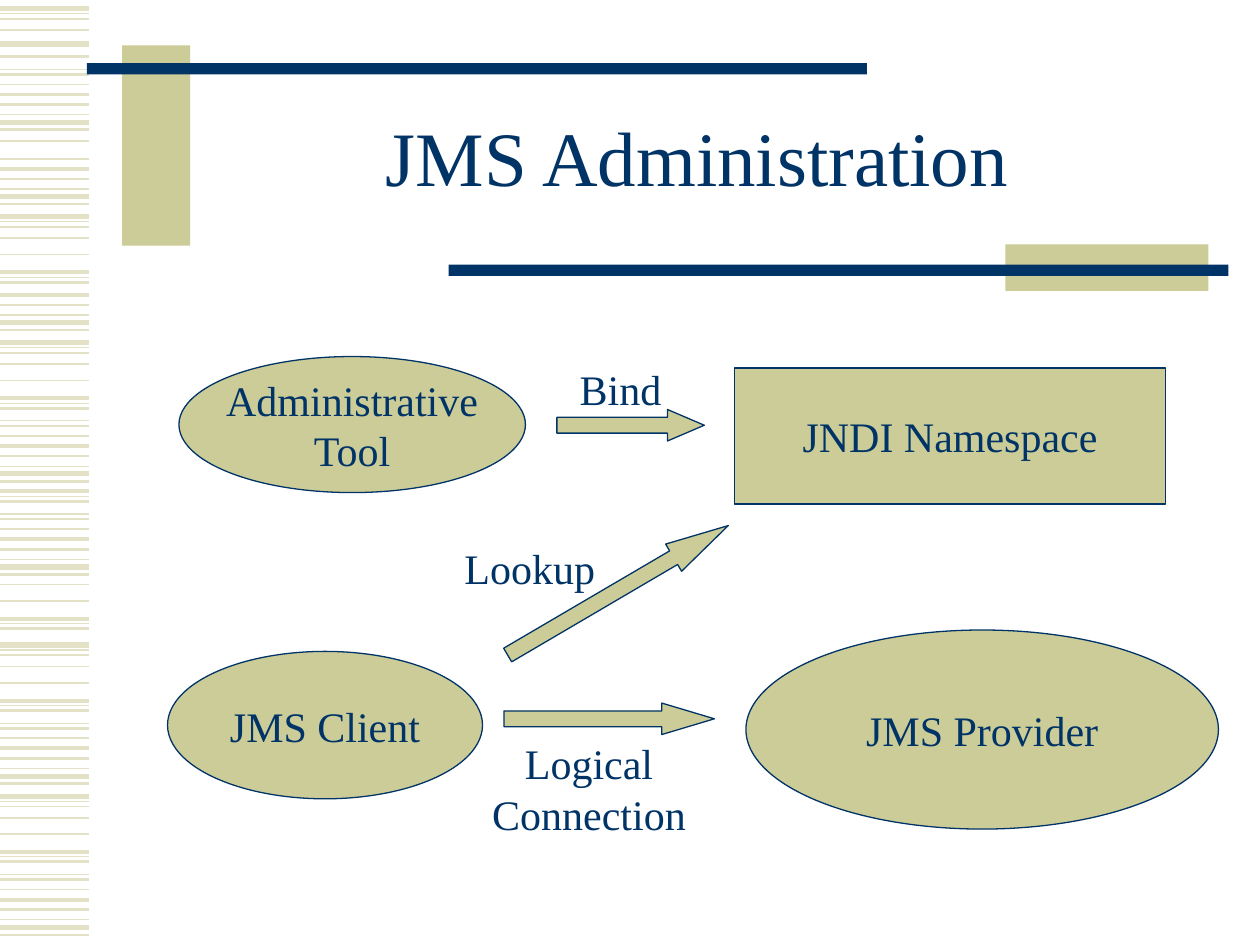
from dataclasses import dataclass

from lxml.etree import SubElement
from pptx import Presentation
from pptx.dml.color import RGBColor
from pptx.enum.shapes import MSO_CONNECTOR as Connector, MSO_SHAPE as Shape
from pptx.enum.text import MSO_ANCHOR as Anchor, MSO_AUTO_SIZE as AutoSize, PP_ALIGN as Align
from pptx.oxml.ns import qn
from pptx.util import Inches, Pt


@dataclass(frozen=True)
class Theme:
    font: str = "Times New Roman"
    navy: RGBColor = RGBColor(0x00, 0x33, 0x66)
    khaki: RGBColor = RGBColor(0xCC, 0xCC, 0x99)
    stripe: RGBColor = RGBColor(0xE3, 0xE2, 0xC7)
    title_size: int = 44
    body_size: int = 24
    body_spacing: Pt = Pt(29)
    outline: float = 0.74


THEME = Theme()

# Stripe patterns: (offset in inches, line width in points)
DENSE = [(-0.30, 0.99), (-0.22, 2.24), (-0.14, 1.5), (-0.06, 0.74), (0, 3), (0.06, 1.5)]
LOOSE = [(0, 3), (0.04, 0.74), (0.08, 0.99), (0.17, 0.99), (0.30, 0.99),
         (0.44, 2.24), (0.48, 0.74), (0.52, 1.5), (0.62, 0.74), (0.66, 1.5)]

# Where each pattern, or a part of it, is placed down the left edge
STRIPE_BANDS = (
    [(y, DENSE) for y in (0.97, 1.56, 3.76, 4.5, 6.16, 7.36)]
    + [(y, LOOSE) for y in (2.72, 5.12, 6.32)]
    + [(0.07, LOOSE[:4]), (0.35, DENSE[4:5]), (-0.07, LOOSE[7:]),
       (0.82, LOOSE[4:5]), (1.72, LOOSE[:8]), (2.56, DENSE[1:]),
       (3.46, LOOSE[5:]), (4.47, LOOSE[3:8])]
)

# Decorative bars: left, top, width, height, colour
BARS = [
    (0.97, 0.36, 0.54, 1.59, THEME.khaki),
    (0.69, 0.5, 6.19, 0.09, THEME.navy),
    (7.98, 1.94, 1.61, 0.37, THEME.khaki),
    (3.56, 2.1, 6.19, 0.09, THEME.navy),
]

# Diagram parts
NODES = [
    (Shape.OVAL, (1.42, 2.83, 2.75, 1.08), "Administrative\nTool"),
    (Shape.RECTANGLE, (5.83, 2.92, 3.42, 1.08), "JNDI Namespace"),
    (Shape.OVAL, (1.33, 5.17, 2.5, 1.17), "JMS Client"),
    (Shape.OVAL, (5.92, 5, 3.75, 1.58), "JMS Provider"),
]
ARROWS = [  # box, head length relative to height, rotation
    ((4.42, 3.25, 1.17, 0.25), 1.17, 0),
    ((4, 5.58, 1.67, 0.25), 1.67, 0),
    ((3.89, 4.56, 2.03, 0.25), 2.01, 329.6),
]
LABELS = [
    ((4.49, 2.83, 0.87, 0.5), "Bind"),
    ((3.57, 4.25, 1.27, 0.5), "Lookup"),
    ((3.79, 5.8, 1.77, 0.9), "Logical\nConnection"),
]


def inches(box):
    return [Inches(length) for length in box]


def write_text(shape, text, *, size=THEME.body_size, spacing=THEME.body_spacing,
               anchor=Anchor.MIDDLE, wrap=False, fit=AutoSize.NONE):
    frame = shape.text_frame
    frame.word_wrap = wrap
    frame.auto_size = fit
    frame.vertical_anchor = anchor
    frame.text = text
    for paragraph in frame.paragraphs:
        paragraph.alignment = Align.CENTER
        paragraph.line_spacing = spacing
        font = paragraph.font
        font.name, font.size = THEME.font, Pt(size)
        font.color.rgb = THEME.navy


def add_stripe(slide, y, width):
    line = slide.shapes.add_connector(
        Connector.STRAIGHT, *inches((0, y, 0.71, y)))
    line.line.color.rgb = THEME.stripe
    line.line.width = Pt(width)
    SubElement(line._element.spPr, qn("a:effectLst"))


def add_filled(slide, kind, box, color=THEME.khaki, outlined=True):
    shape = slide.shapes.add_shape(kind, *inches(box))
    shape.shadow.inherit = False
    shape.fill.solid()
    shape.fill.fore_color.rgb = color
    if outlined:
        shape.line.color.rgb = THEME.navy
        shape.line.width = Pt(THEME.outline)
    else:
        shape.line.fill.background()
    return shape


def add_label(slide, box, text, **text_format):
    write_text(slide.shapes.add_textbox(*inches(box)), text, **text_format)


def add_arrow(slide, box, head, rotation):
    arrow = add_filled(slide, Shape.RIGHT_ARROW, box)
    arrow.adjustments[0] = 0.5
    arrow.adjustments[1] = head
    arrow.rotation = rotation


def main():
    presentation = Presentation()
    presentation.slide_width, presentation.slide_height = Inches(10), Inches(7.5)
    slide = presentation.slides.add_slide(presentation.slide_layouts[6])

    # Background decoration
    for start, pattern in STRIPE_BANDS:
        for offset, width in pattern:
            add_stripe(slide, start + offset, width)
    for *box, color in BARS:
        add_filled(slide, Shape.RECTANGLE, box, color, outlined=False)

    # Title
    add_label(slide, (1.5, 0.67, 8.07, 1.25), "JMS Administration",
              size=THEME.title_size, spacing=0.85, wrap=True)

    # Diagram
    for kind, box, text in NODES:
        write_text(add_filled(slide, kind, box), text)
    for arrow in ARROWS:
        add_arrow(slide, *arrow)
    for box, text in LABELS:
        add_label(slide, box, text, anchor=Anchor.TOP, fit=AutoSize.SHAPE_TO_FIT_TEXT)

    presentation.save("out.pptx")


main()
